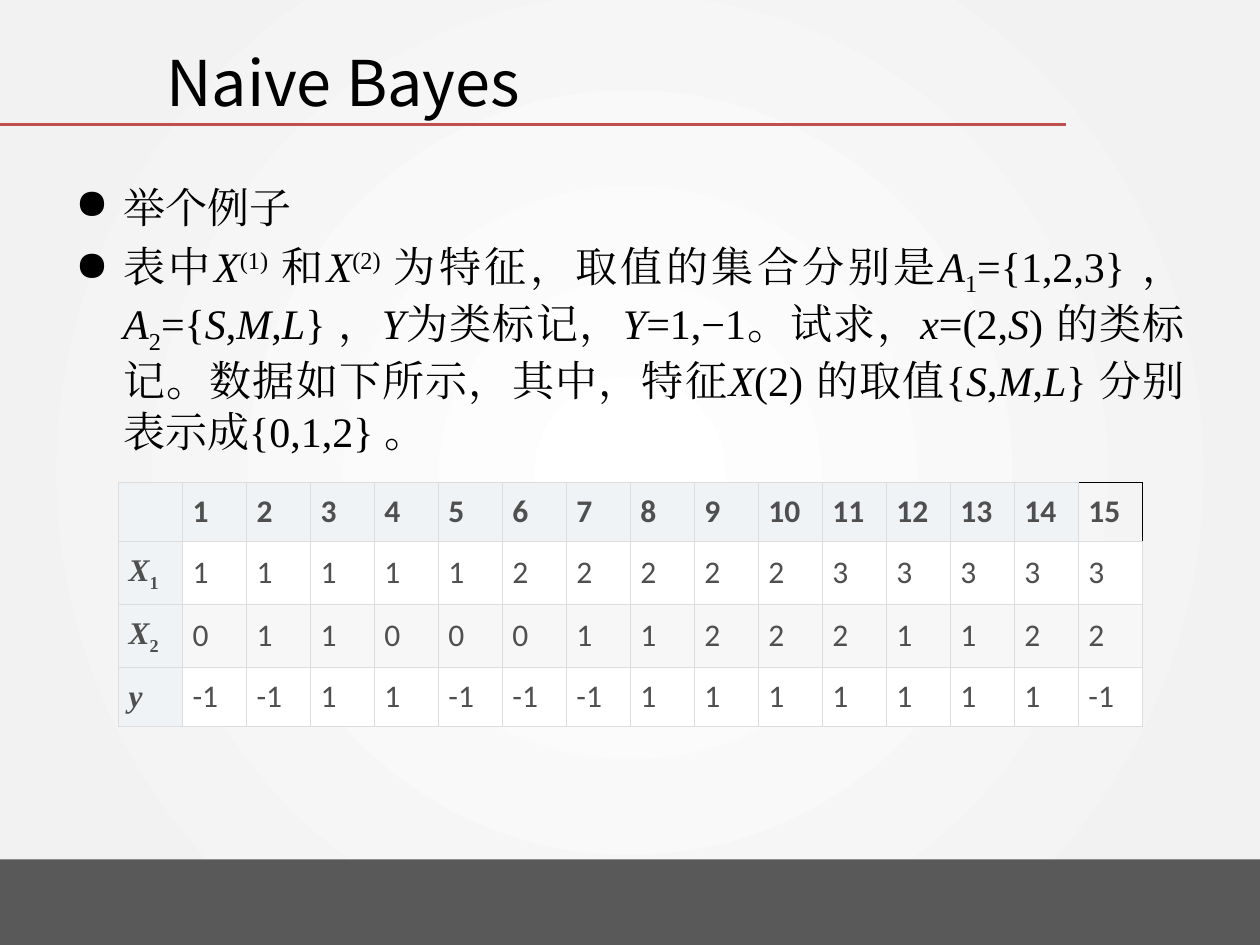
from typing import NamedTuple

from lxml import etree
from pptx import Presentation
from pptx.dml.color import RGBColor
from pptx.enum.shapes import MSO_CONNECTOR as Connector, MSO_SHAPE as Shape
from pptx.enum.text import MSO_ANCHOR as Anchor, PP_ALIGN as Align
from pptx.oxml import parse_xml
from pptx.oxml.ns import nsdecls, qn
from pptx.util import Inches, Pt

SERIF, SANS, CJK = "Times New Roman", "Calibri", "Noto Sans CJK SC"
BLACK, TABLE_TEXT, GRID = "000000", "4F4F4F", "DDDDDD"
HEADER_FILL, PLAIN_FILL, BAND_FILL = "EFF3F5", "FFFFFF", "F7F7F7"
BASELINES = {"^": "30000", "_": "-25000"}

# Runs are split by "|"; a leading * is italic, ^ superscript, _ subscript.
BULLETS = [
    "举个例子",
    "表中|*X|^(1) |和|*X|^(2) |为特征，取值的集合分别是|*A|_1|={1,2,3} ，"
    "|*A|_2|={|*S|,|*M|,|*L|} ，|*Y|为类标记，|*Y|=1,−1。试求，|*x|=(2,|*S"
    "|) 的类标记。数据如下所示，其中，特征|*X|(2) 的取值{|*S|,|*M|,|*L"
    "|} 分别表示成{0,1,2} 。",
]


class Border(NamedTuple):
    color: str
    points: float


class DataRow(NamedTuple):
    label: str
    values: list[int]
    fill: str


DATA_ROWS = [
    DataRow("*X|_1", [1] * 5 + [2] * 5 + [3] * 5, PLAIN_FILL),
    DataRow("*X|_2", [0, 1, 1, 0, 0, 0, 1, 1, 2, 2, 2, 1, 1, 2, 2], BAND_FILL),
    DataRow("*y", [-1, -1, 1, 1, -1, -1, -1, 1, 1, 1, 1, 1, 1, 1, -1], PLAIN_FILL),
]
GRID_BORDER = Border(GRID, 0.75)
CORNER_BORDER = Border(BLACK, 1)


def rgb(color: str) -> RGBColor:
    return RGBColor.from_string(color)


def write(paragraph, text: str, *, size: float, font: str, color: str = BLACK,
          bold: bool = False, east_asian: str = CJK) -> None:
    """Add the marked-up text to the paragraph as formatted runs."""
    for piece in text.split("|"):
        mark = piece[0] if piece[0] in "*^_" else ""
        run = paragraph.add_run()
        run.text = piece[len(mark):]
        run.font.size = Pt(size)
        run.font.name = font
        run.font.bold = bold
        run.font.italic = mark == "*"
        run.font.color.rgb = rgb(color)
        properties = run.font._element
        if mark in BASELINES:
            properties.set("baseline", BASELINES[mark])
        etree.SubElement(properties, qn("a:ea")).set("typeface", east_asian)


def set_background(slide) -> None:
    slide.background.fill.solid()
    properties = slide._element.cSld.find(qn("p:bg")).find(qn("p:bgPr"))
    properties.replace(properties[0], parse_xml(
        f'<a:gradFill {nsdecls("a")} rotWithShape="1"><a:gsLst>'
        '<a:gs pos="0"><a:srgbClr val="FFFFFF"/></a:gs>'
        '<a:gs pos="85000"><a:srgbClr val="F2F2F2"><a:alpha val="80000"/></a:srgbClr></a:gs>'
        '<a:gs pos="100000"><a:srgbClr val="F2F2F2"/></a:gs></a:gsLst>'
        '<a:path path="circle"><a:fillToRect l="50000" t="50000" r="50000" b="50000"/>'
        '</a:path></a:gradFill>'))


def add_frame(slide) -> None:
    """Draw the footer bar and the rule under the title."""
    bar = slide.shapes.add_shape(
        Shape.RECTANGLE, Inches(-0.67), Inches(6.82), Inches(11.26), Inches(0.71))
    bar.shadow.inherit = False
    bar.fill.solid()
    bar.fill.fore_color.rgb = rgb("595959")
    bar.line.fill.background()

    rule = slide.shapes.add_connector(
        Connector.STRAIGHT, 0, Inches(0.99), Inches(8.46), Inches(0.99))
    rule.line.color.rgb = rgb("C0504D")
    rule.line.width = Pt(2)
    etree.SubElement(rule._element.spPr, qn("a:effectLst"))


def add_text_frame(slide, left: float, top: float, width: float, height: float):
    box = slide.shapes.add_textbox(
        Inches(left), Inches(top), Inches(width), Inches(height))
    box.text_frame.word_wrap = True
    return box.text_frame


def add_title(slide) -> None:
    frame = add_text_frame(slide, 1.22, 0.29, 7.24, 0.71)
    frame.vertical_anchor = Anchor.MIDDLE
    write(frame.paragraphs[0], "Naive Bayes", size=36, font=CJK)


def add_bullets(slide) -> None:
    frame = add_text_frame(slide, 0.5, 1.39, 9, 5.31)
    for index, text in enumerate(BULLETS):
        paragraph = frame.add_paragraph() if index else frame.paragraphs[0]
        paragraph.alignment = Align.JUSTIFY
        paragraph.space_before = Pt(4.8)
        properties = paragraph._element.get_or_add_pPr()
        properties.set("marL", str(Inches(0.38)))
        properties.set("indent", str(Inches(-0.38)))
        etree.SubElement(properties, qn("a:buChar")).set("char", "●")
        write(paragraph, text, size=24, font=SERIF, east_asian=SERIF)


def set_borders(cell, **borders: Border) -> None:
    """Set the borders named L, R, T and B, in that order."""
    properties = cell._tc.get_or_add_tcPr()
    for side, border in borders.items():
        properties.append(parse_xml(
            f'<a:ln{side} {nsdecls("a")} w="{Pt(border.points)}"><a:solidFill>'
            f'<a:srgbClr val="{border.color}"/></a:solidFill></a:ln{side}>'))


def fill_cell(cell, text: str, fill: str | None, *, font: str = SANS,
              bold: bool = False) -> None:
    """Format one cell; without a fill it is the open corner with dark edges."""
    edge = GRID_BORDER if fill else CORNER_BORDER
    set_borders(cell, L=GRID_BORDER, R=edge, T=edge, B=GRID_BORDER)
    if fill:
        cell.fill.solid()
        cell.fill.fore_color.rgb = rgb(fill)
    else:
        cell.fill.background()
    cell.vertical_anchor = Anchor.MIDDLE
    cell.margin_left = cell.margin_right = Inches(0.08)
    cell.margin_top = cell.margin_bottom = Inches(0.08)
    if text:
        write(cell.text_frame.paragraphs[0], text, size=18, font=font,
              color=TABLE_TEXT, bold=bold)


def add_data_table(slide) -> None:
    samples = len(DATA_ROWS[0].values)
    table = slide.shapes.add_table(
        len(DATA_ROWS) + 1, samples + 1,
        Inches(0.94), Inches(3.83), Inches(8.13), Inches(1.87)).table
    table.first_row = table.horz_banding = False

    for column in range(samples + 1):
        fill_cell(table.cell(0, column), str(column) if column else "",
                  HEADER_FILL if column < samples else None, bold=True)
    for row, data in enumerate(DATA_ROWS, start=1):
        fill_cell(table.cell(row, 0), data.label, HEADER_FILL, font=SERIF, bold=True)
        for column, value in enumerate(data.values, start=1):
            fill_cell(table.cell(row, column), str(value), data.fill)


def main() -> None:
    presentation = Presentation()
    presentation.slide_width = Inches(10)
    presentation.slide_height = Inches(7.5)
    slide = presentation.slides.add_slide(presentation.slide_layouts[6])
    set_background(slide)
    add_frame(slide)
    add_bullets(slide)
    add_title(slide)
    add_data_table(slide)
    presentation.save("out.pptx")


if __name__ == "__main__":
    main()
